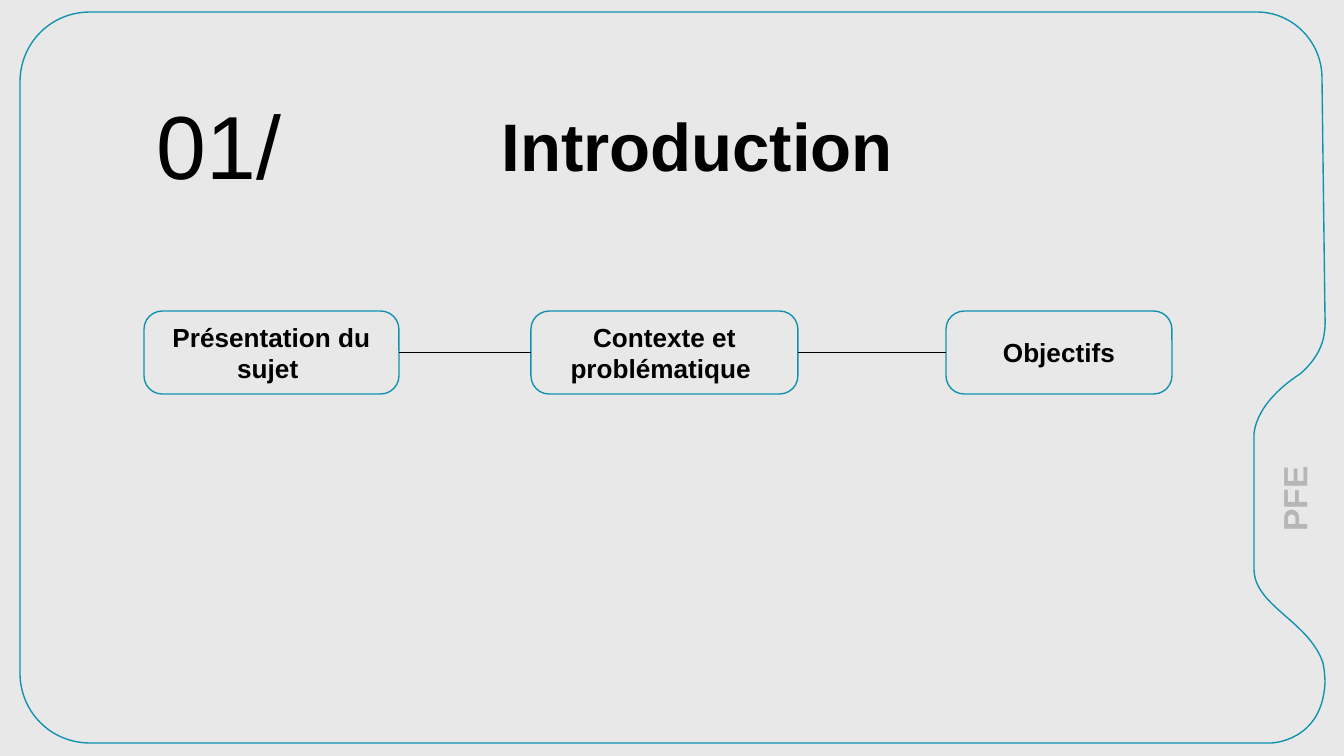
from pptx import Presentation
from pptx.dml.color import RGBColor
from pptx.enum.shapes import MSO_CONNECTOR, MSO_SHAPE
from pptx.enum.text import MSO_ANCHOR, PP_ALIGN
from pptx.oxml.ns import qn
from pptx.util import Pt
from lxml import etree

STRAIGHT = MSO_CONNECTOR.STRAIGHT
ROUNDED = MSO_SHAPE.ROUNDED_RECTANGLE
MIDDLE, TOP = MSO_ANCHOR.MIDDLE, MSO_ANCHOR.TOP
CENTER, LEFT = PP_ALIGN.CENTER, PP_ALIGN.LEFT
SCALE = 914400 / 134.4
GREY, TEAL, BLACK, PALE = "E8E8E8", "1092AF", "000000", "B6B6B6"
RIGHT_SIDE, LEFT_SIDE = 3, 1

FRAME_START = (90, 12)
FRAME = [
    [(51, 12), (20, 43), (20, 82)],
    [(20, 673)],
    [(20, 712), (51, 743), (90, 743)],
    [(1271, 743)],
    [(1271, 743), (1322, 742), (1325, 683)],
    [(1325, 675), (1324, 668), (1323, 663)],
    [(1309, 621), (1254, 606), (1254, 569)],
    [(1254, 437)],
    [(1254, 437), (1251, 406), (1300, 374)],
    [(1313, 363), (1320, 351), (1323, 340)],
    [(1326, 328), (1325, 317), (1325, 317)],
    [(1322, 78)],
    [(1322, 42), (1293, 12), (1257, 12)],
]
TOPICS = [
    (144, 255, "Présentation du sujet "),
    (531, 267, "Contexte et problématique "),
    (946, 226, "Objectifs"),
]


def px(n):
    return round(n * SCALE)


def color(value):
    return RGBColor.from_string(value)


def set_line(shape, value):
    shape.line.color.rgb = color(value)
    shape.line.width = Pt(0.75)


def write(shape, text, size, bold=True, fill=BLACK, align=CENTER,
          anchor=MIDDLE, wrap=True, pad=13):
    tf = shape.text_frame
    frame_format = {
        "word_wrap": wrap, "vertical_anchor": anchor,
        "margin_left": px(13), "margin_right": px(13),
        "margin_top": px(pad), "margin_bottom": px(pad),
    }
    for name, value in frame_format.items():
        setattr(tf, name, value)
    p = tf.paragraphs[0]
    p.alignment = align
    r = p.add_run()
    r.text = text
    for name, value in {"name": "Arial", "size": Pt(size), "bold": bold}.items():
        setattr(r.font, name, value)
    r.font.color.rgb = color(fill)


def place(shape, x, y, w, h):
    box = {"left": x, "top": y, "width": w, "height": h}
    for name, value in box.items():
        setattr(shape, name, px(value))


def add_text(s, x, y, w, h, text, size, rotation=0, **text_format):
    box = s.shapes.add_textbox(px(x), px(y), px(w), px(h))
    box.rotation = rotation
    write(box, text, size, **text_format)


def bend_edges(shape, segments):
    edges = list(shape._element.iter(qn("a:lnTo")))
    for edge, segment in zip(edges, segments):
        if len(segment) == 1:
            continue
        curve = etree.Element(qn("a:cubicBezTo"))
        for x, y in segment:
            etree.SubElement(curve, qn("a:pt"), x=str(px(x) - shape.left),
                             y=str(px(y) - shape.top))
        edge.getparent().replace(edge, curve)


def add_frame(s):
    start = [px(n) for n in FRAME_START]
    ends = [(px(x), px(y)) for *_, (x, y) in FRAME]
    builder = s.shapes.build_freeform(*start, scale=1.0)
    builder.add_line_segments(ends, close=True)
    frame = builder.convert_to_shape()
    bend_edges(frame, FRAME)
    frame.shadow.inherit = False
    frame.fill.background()
    set_line(frame, TEAL)


def add_topic(s, x, w, text):
    box = s.shapes.add_shape(ROUNDED, px(x), px(311), px(w), px(83))
    box.adjustments[0] = 0.22
    box.shadow.inherit = False
    box.fill.solid()
    box.fill.fore_color.rgb = color(GREY)
    set_line(box, TEAL)
    write(box, text, 14)
    return box


def add_link(s, first, second):
    link = s.shapes.add_connector(STRAIGHT, 0, 0, 0, 0)
    link.begin_connect(first, RIGHT_SIDE)
    link.end_connect(second, LEFT_SIDE)
    set_line(link, BLACK)
    etree.SubElement(link._element.spPr, qn("a:effectLst"))


def main():
    prs = Presentation()
    prs.slide_width, prs.slide_height = px(1344), px(756)
    s = prs.slides.add_slide(prs.slide_layouts[5])
    s.background.fill.solid()
    s.background.fill.fore_color.rgb = color(GREY)

    add_frame(s)
    add_text(s, 1196, 472, 196, 54, "PFE", 18, rotation=270, fill=PALE)
    boxes = [add_topic(s, *topic) for topic in TOPICS]
    add_text(s, 144, 83, 165, 120, "01/", 48, bold=False,
             align=LEFT, anchor=TOP, wrap=False, pad=7)
    for first, second in zip(boxes, boxes[1:]):
        add_link(s, first, second)
    title = s.shapes.title
    place(title, 319, 106, 757, 78)
    write(title, "Introduction", 36)

    prs.save("out.pptx")


if __name__ == "__main__":
    main()
